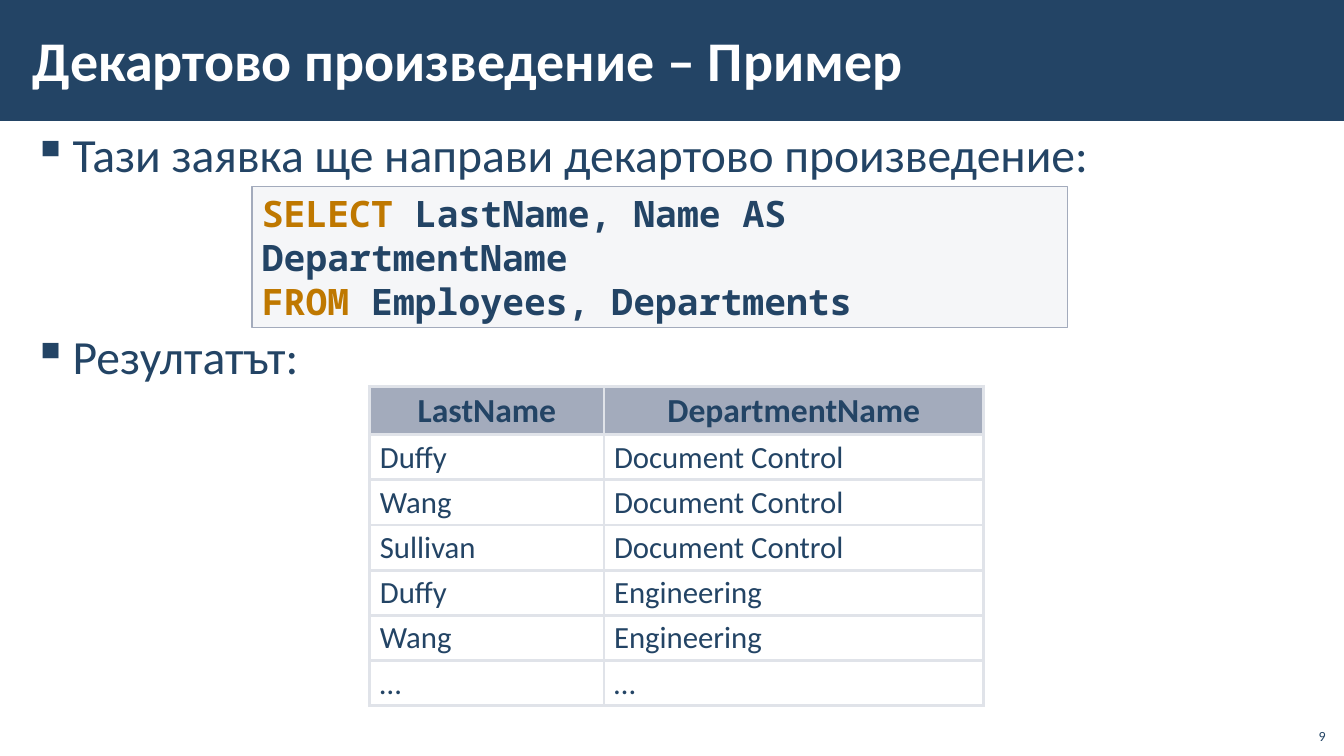
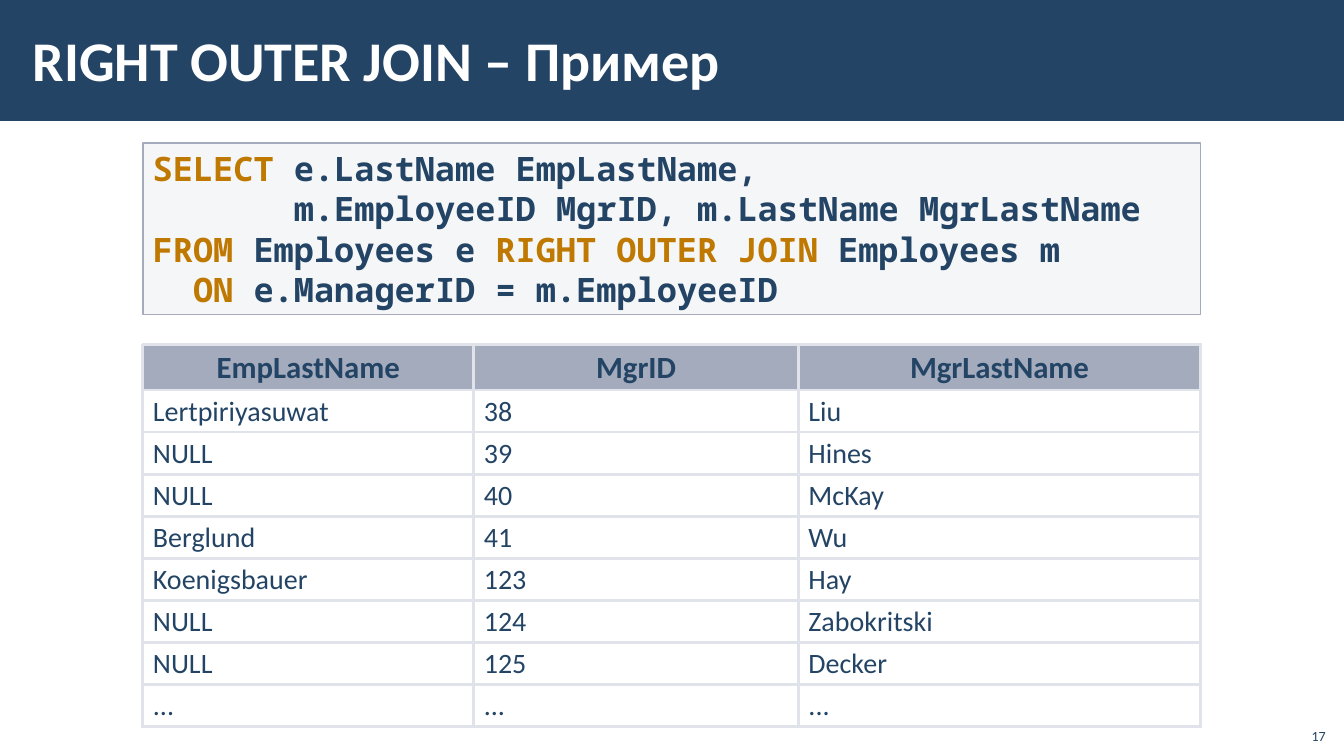
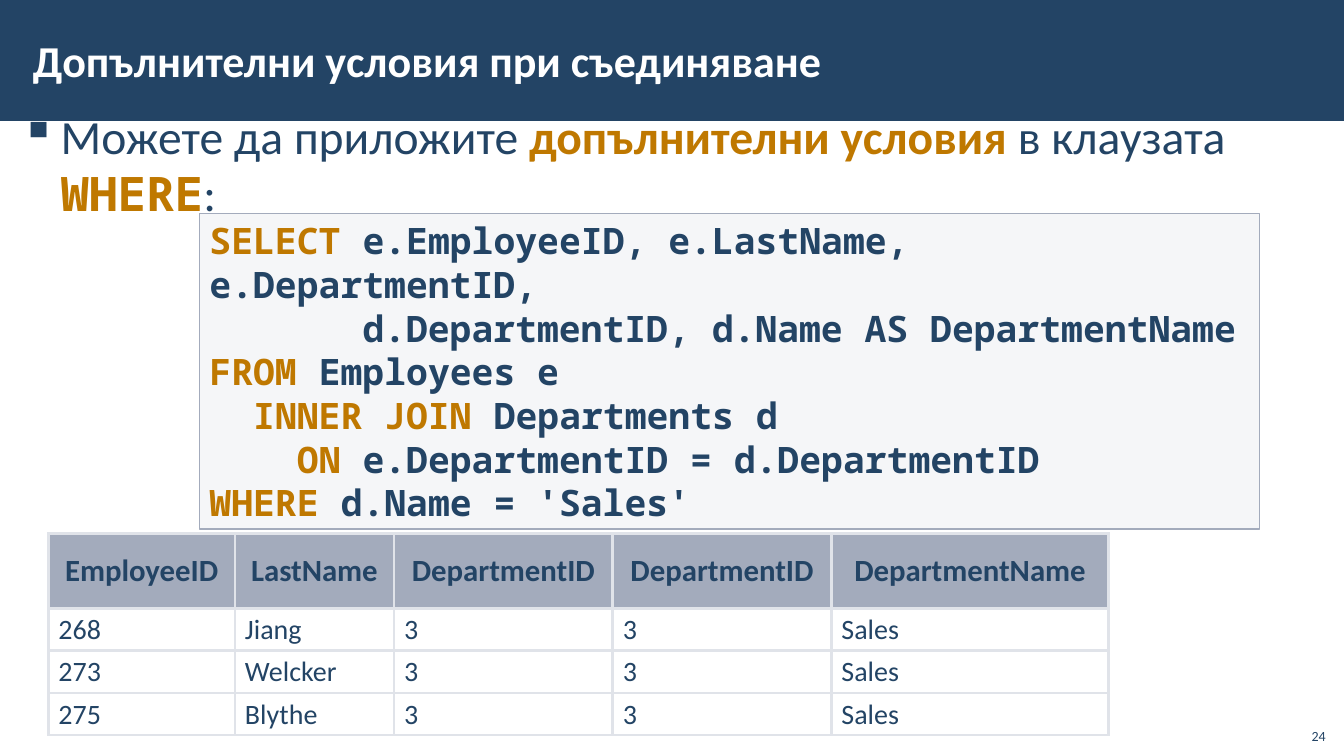
from lxml import etree
from pptx import Presentation, util as u
from pptx.dml.color import RGBColor
from pptx.enum import shapes, text
from pptx.oxml import ns, parse_xml

NAVY, ORANGE, WHITE = "234465", "BF7800", "FFFFFF"
PANEL, STEEL, GRID = "C2C7D2", "A3ABBC", "E0E3E9"
SANS, MONO = "Calibri", "Noto Sans Mono"
Cm, Pt = u.Cm, u.Pt


def paint(target, color):
    if hasattr(target, "solid"):
        target.solid()
        target = target.fore_color
    elif hasattr(target, "color"):
        target = target.color
    target.rgb = RGBColor.from_string(color)


def write(frame, content, size, color=NAVY, font=SANS, bold=False,
          align=text.PP_ALIGN.LEFT, spacing=None):
    for number, line in enumerate(content.split("\n")):
        paragraph = frame.add_paragraph() if number else frame.paragraphs[0]
        paragraph.alignment = align
        paragraph.line_spacing = spacing
        for index, part in enumerate(line.split("|")):
            if part:
                run = paragraph.add_run()
                run.text = part
                run.font.size = Pt(size)
                run.font.name = font
                run.font.bold = bold or index % 2 == 1
                paint(run.font, ORANGE if index % 2 else color)


pages = [
    {
        "title": "Декартово произведение – Пример", "title_size": 40, "number": 9,
        "bullets": "Тази заявка ще направи декартово произведение:\nРезултатът:",
        "bullets_at": (0.53, 3.2), "bullet_spacing": 0.9,
        "code": "|SELECT |LastName, Name AS DepartmentName\n"
                "|FROM |Employees, Departments",
        "code_at": (6.35, 4.7, 20.55, 3.56), "code_size": 26,
        "table_at": (9.32, 9.73), "columns": (5.9, 9.57),
        "heights": (1.19, 1.14), "head_size": 24, "cell_size": 22,
        "rows": [
            ("LastName", "DepartmentName"),
            ("Duffy", "Document Control"),
            ("Wang", "Document Control"),
            ("Sullivan", "Document Control"),
            ("Duffy", "Engineering"),
            ("Wang", "Engineering"),
            ("…", "…"),
        ],
    },
    {
        "title": "RIGHT OUTER JOIN – Пример", "title_size": 40, "number": 17,
        "code": "|SELECT |e.LastName EmpLastName,\n"
                "       m.EmployeeID MgrID, m.LastName MgrLastName\n"
                "|FROM |Employees e |RIGHT OUTER JOIN |Employees m\n"
                "  |ON |e.ManagerID = m.EmployeeID",
        "code_at": (3.6, 3.6, 26.65, 4.32), "code_size": 24,
        "table_at": (3.6, 8.69), "columns": (8.34, 8.18, 10.14),
        "heights": (1.14, 1.06), "head_size": 22, "cell_size": 20,
        "rows": [
            ("EmpLastName", "MgrID", "MgrLastName"),
            ("Lertpiriyasuwat", "38", "Liu"),
            ("NULL", "39", "Hines"),
            ("NULL", "40", "McKay"),
            ("Berglund", "41", "Wu"),
            ("Koenigsbauer", "123", "Hay"),
            ("NULL", "124", "Zabokritski"),
            ("NULL", "125", "Decker"),
            ("...", "...", "..."),
        ],
    },
    {
        "title": "Допълнителни условия при съединяване", "title_size": 31.5, "number": 24,
        "bullets": "Можете да приложите |допълнителни условия |в клаузата |WHERE|:",
        "bullets_at": (0.23, 2.59), "bullet_spacing": 1.0,
        "code": "|SELECT| e.EmployeeID, e.LastName, e.DepartmentID,\n"
                "       d.DepartmentID, d.Name AS DepartmentName\n"
                "|FROM| Employees e\n"
                "  |INNER JOIN| Departments d\n"
                "    |ON| e.DepartmentID = d.DepartmentID\n"
                "|WHERE| d.Name = 'Sales'",
        "code_at": (5.03, 5.38, 26.72, 7.95), "code_size": 26,
        "table_at": (1.22, 13.44), "columns": (4.7, 4.01, 5.51, 5.51, 6.99),
        "heights": (1.9, 1.06), "head_size": 22, "cell_size": 20,
        "rows": [
            ("EmployeeID", "LastName", "DepartmentID", "DepartmentID", "DepartmentName"),
            ("268", "Jiang", "3", "3", "Sales"),
            ("273", "Welcker", "3", "3", "Sales"),
            ("275", "Blythe", "3", "3", "Sales"),
        ],
    },
]

presentation = Presentation()
presentation.slide_width, presentation.slide_height = Cm(33.87), Cm(19.05)
layout = presentation.slide_layouts[5]

heading = layout.placeholders[0]
heading.left, heading.top, heading.width, heading.height = Cm(0.53), Cm(0.28), Cm(28.52), Cm(2.44)
frame = heading.text_frame
frame.margin_left = frame.margin_right = Cm(0.3)
frame.margin_top = frame.margin_bottom = Cm(0.1)
frame.vertical_anchor = text.MSO_ANCHOR.MIDDLE
frame.auto_size = text.MSO_AUTO_SIZE.NONE

for page in pages:
    slide = presentation.slides.add_slide(layout)
    if page is pages[0]:
        band = slide.shapes.add_shape(
            shapes.MSO_SHAPE.RECTANGLE, 0, 0, presentation.slide_width, Cm(3.05))
        band.shadow.inherit = False
        paint(band.fill, NAVY)
        band.line.fill.background()
        layout.shapes._spTree.insert(2, band._element)

    write(slide.shapes.title.text_frame, page["title"], page["title_size"], WHITE, bold=True)

    if "bullets" in page:
        left, top = page["bullets_at"]
        box = slide.shapes.add_textbox(Cm(left), Cm(top), Cm(32.79), Cm(15.47))
        frame = box.text_frame
        frame.word_wrap = True
        frame.margin_left = frame.margin_right = Cm(0.3)
        frame.margin_top = frame.margin_bottom = Cm(0.1)
        write(frame, page["bullets"], 34, spacing=page["bullet_spacing"])
        for run in frame.paragraphs[0].runs:
            if run.text == "WHERE":
                run.font.name = MONO
        for index, paragraph in enumerate(frame.paragraphs):
            paragraph.space_before = Pt(102 if index else 6)
            paragraph.space_after = Pt(6)
            properties = paragraph._p.get_or_add_pPr()
            properties.set("marL", str(Cm(1)))
            properties.set("indent", str(-Cm(1)))
            bullet_color = etree.SubElement(properties, ns.qn("a:buClr"))
            etree.SubElement(bullet_color, ns.qn("a:srgbClr"), val=NAVY)
            etree.SubElement(properties, ns.qn("a:buChar"), char="▪")

    code = slide.shapes.add_shape(
        shapes.MSO_SHAPE.RECTANGLE, *[Cm(length) for length in page["code_at"]])
    code.shadow.inherit = False
    paint(code.fill, PANEL)
    panel_color = code._element.spPr.find(".//" + ns.qn("a:srgbClr"))
    etree.SubElement(panel_color, ns.qn("a:alpha"), val="15000")
    paint(code.line, STEEL)
    code.line.width = Pt(1)
    frame = code.text_frame
    frame.word_wrap = True
    frame.auto_size = text.MSO_AUTO_SIZE.SHAPE_TO_FIT_TEXT
    frame.vertical_anchor = text.MSO_ANCHOR.TOP
    write(frame, page["code"], page["code_size"], font=MONO, bold=True)

    rows, columns = page["rows"], page["columns"]
    head_height, row_height = page["heights"]
    left, top = page["table_at"]
    table = slide.shapes.add_table(
        len(rows), len(columns), Cm(left), Cm(top), Cm(sum(columns)),
        Cm(head_height + row_height * (len(rows) - 1))).table
    table.first_row = table.horz_banding = False
    for column, width in zip(table.columns, columns):
        column.width = Cm(width)
    for row_index, values in enumerate(rows):
        is_head = row_index == 0
        table.rows[row_index].height = Cm(head_height if is_head else row_height)
        for column_index, value in enumerate(values):
            cell = table.cell(row_index, column_index)
            cell.vertical_anchor = text.MSO_ANCHOR.MIDDLE
            for side in "LRTB":
                cell._tc.get_or_add_tcPr().append(parse_xml(
                    f'<a:ln{side} {ns.nsdecls("a")} w="{Pt(2.2)}"><a:solidFill>'
                    f'<a:srgbClr val="{GRID}"/></a:solidFill></a:ln{side}>'))
            paint(cell.fill, STEEL if is_head else WHITE)
            write(cell.text_frame, value, page["head_size" if is_head else "cell_size"],
                  bold=is_head, spacing=0.95,
                  align=text.PP_ALIGN.CENTER if is_head else text.PP_ALIGN.LEFT)

    footer = slide.shapes.add_textbox(Cm(32.64), Cm(18.08), Cm(1.02), Cm(0.81))
    footer.text_frame.word_wrap = True
    footer.text_frame.vertical_anchor = text.MSO_ANCHOR.BOTTOM
    write(footer.text_frame, str(page["number"]), 10, align=text.PP_ALIGN.RIGHT)

presentation.save("out.pptx")
